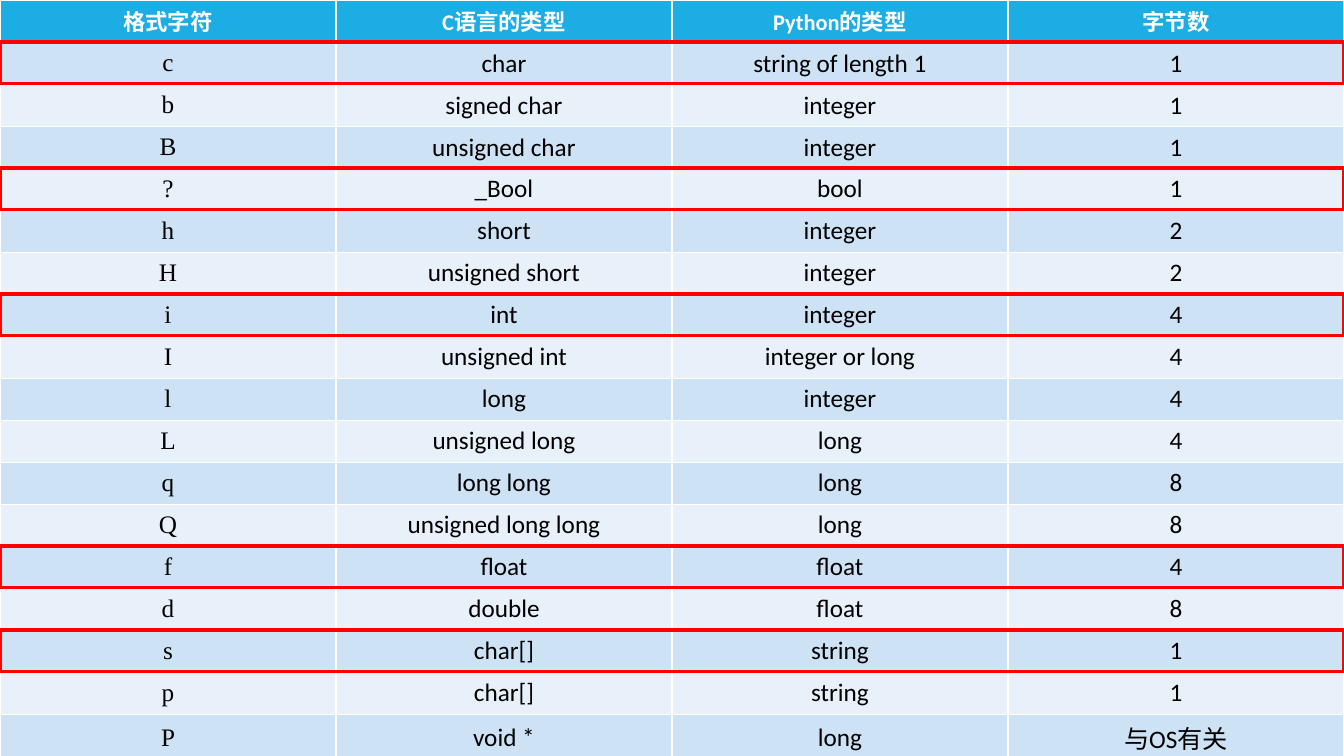
from pptx import Presentation
from pptx.dml.color import RGBColor
from pptx.enum.shapes import MSO_SHAPE
from pptx.enum.text import MSO_ANCHOR, PP_ALIGN
from pptx.oxml import parse_xml
from pptx.oxml.ns import nsdecls
from pptx.util import Inches, Pt

WHITE = RGBColor(0xFF, 0xFF, 0xFF)
BLACK = RGBColor(0, 0, 0)
RED = RGBColor(0xFF, 0, 0)
HEADER_BLUE = RGBColor(0x1C, 0xAD, 0xE4)
BAND_DARK = RGBColor(0xCD, 0xE3, 0xF5)
BAND_LIGHT = RGBColor(0xE8, 0xF1, 0xFA)

WIDTH, HEIGHT = 13.33, 7.5
HEADERS = ("格式字符", "C语言的类型", "Python的类型", "字节数")
FORMATS = [
    ("c", "char", "string of length 1", "1"),
    ("b", "signed char", "integer", "1"),
    ("B", "unsigned char", "integer", "1"),
    ("?", "_Bool", "bool", "1"),
    ("h", "short", "integer", "2"),
    ("H", "unsigned short", "integer", "2"),
    ("i", "int", "integer", "4"),
    ("I", "unsigned int", "integer or long", "4"),
    ("l", "long", "integer", "4"),
    ("L", "unsigned long", "long", "4"),
    ("q", "long long", "long", "8"),
    ("Q", "unsigned long long", "long", "8"),
    ("f", "float", "float", "4"),
    ("d", "double", "float", "8"),
    ("s", "char[]", "string", "1"),
    ("p", "char[]", "string", "1"),
    ("P", "void *", "long", "与OS有关"),
]
HIGHLIGHTED = ("c", "?", "i", "f", "s")
ROW_HEIGHT = HEIGHT / (len(FORMATS) + 1)


def set_borders(cell, bottom):
    tcPr = cell._tc.get_or_add_tcPr()
    for side, width in (("L", 1), ("R", 1), ("T", 1), ("B", bottom)):
        tcPr.append(parse_xml(
            f'<a:ln{side} {nsdecls("a")} w="{Pt(width)}"><a:solidFill>'
            f'<a:srgbClr val="{WHITE}"/></a:solidFill></a:ln{side}>'))


def fill_cell(cell, text, fill, font, size, color, bold=False, bottom=1):
    set_borders(cell, bottom)
    cell.fill.solid()
    cell.fill.fore_color.rgb = fill
    cell.vertical_anchor = MSO_ANCHOR.MIDDLE
    cell.text_frame.text = text
    p = cell.text_frame.paragraphs[0]
    p.alignment = PP_ALIGN.CENTER
    f = p.runs[0].font
    f.name, f.size, f.bold = font, Pt(size), bold
    f.color.rgb = color


def add_format_table(s):
    table = s.shapes.add_table(len(FORMATS) + 1, len(HEADERS), 0, 0,
                               Inches(WIDTH), Inches(HEIGHT)).table
    for row in table.rows:
        row.height = Inches(ROW_HEIGHT)
    for col, text in enumerate(HEADERS):
        fill_cell(table.cell(0, col), text, HEADER_BLUE, "Calibri", 16, WHITE,
                  bold=True, bottom=3)
    for row, values in enumerate(FORMATS, 1):
        band = BAND_DARK if row % 2 else BAND_LIGHT
        for col, text in enumerate(values):
            font = "Calibri" if col else "Times New Roman"
            fill_cell(table.cell(row, col), text, band, font, 18, BLACK)


def add_highlight(s, row):
    sp = s.shapes.add_shape(MSO_SHAPE.RECTANGLE, 0, Inches(row * ROW_HEIGHT),
                            Inches(WIDTH), Inches(0.41))
    sp.shadow.inherit = False
    sp.fill.background()
    sp.line.color.rgb = RED
    sp.line.width = Pt(2.25)


def main():
    prs = Presentation()
    prs.slide_width, prs.slide_height = Inches(WIDTH), Inches(HEIGHT)
    s = prs.slides.add_slide(prs.slide_layouts[6])
    add_format_table(s)
    for row, values in enumerate(FORMATS, 1):
        if values[0] in HIGHLIGHTED:
            add_highlight(s, row)
    prs.save("out.pptx")


if __name__ == "__main__":
    main()
